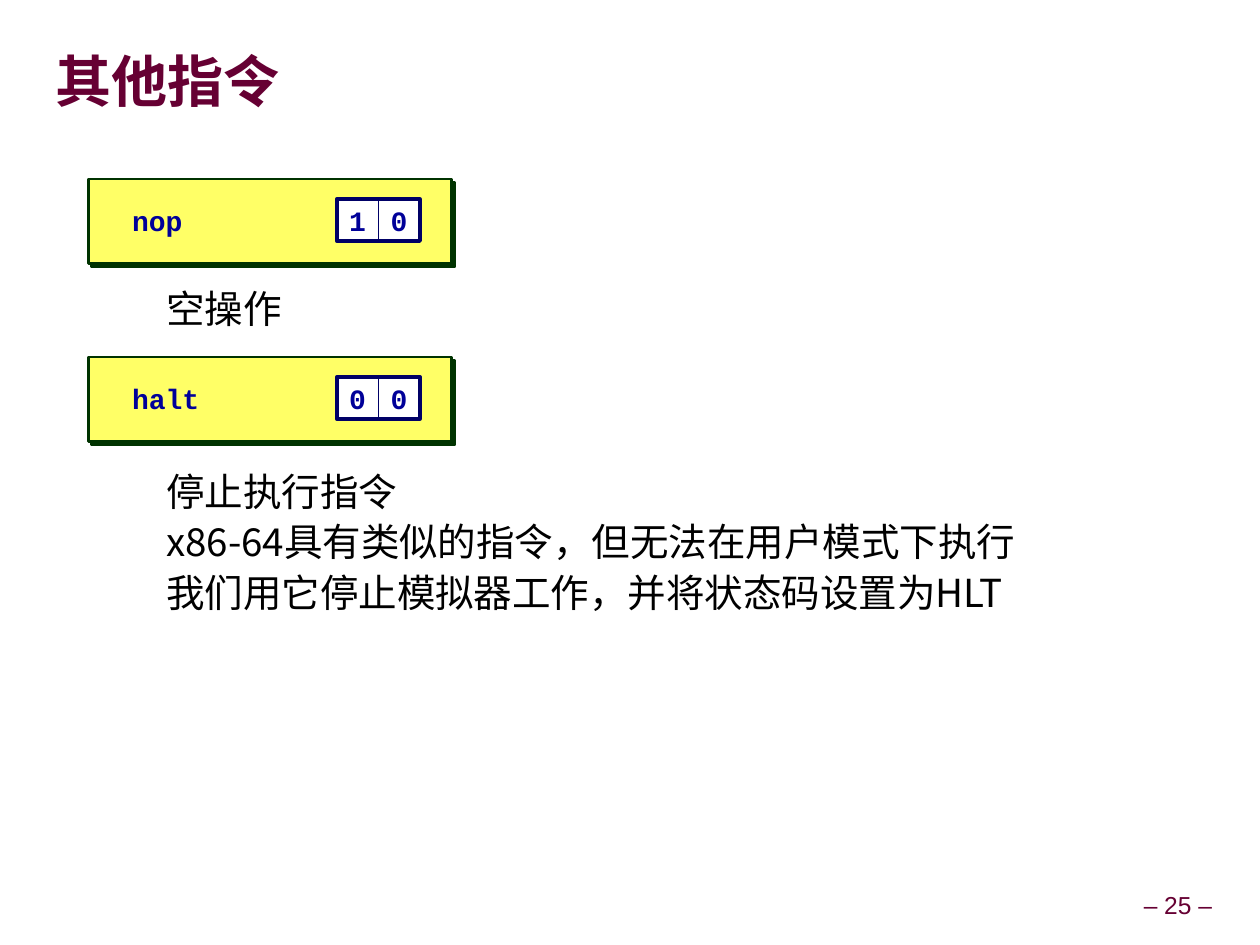
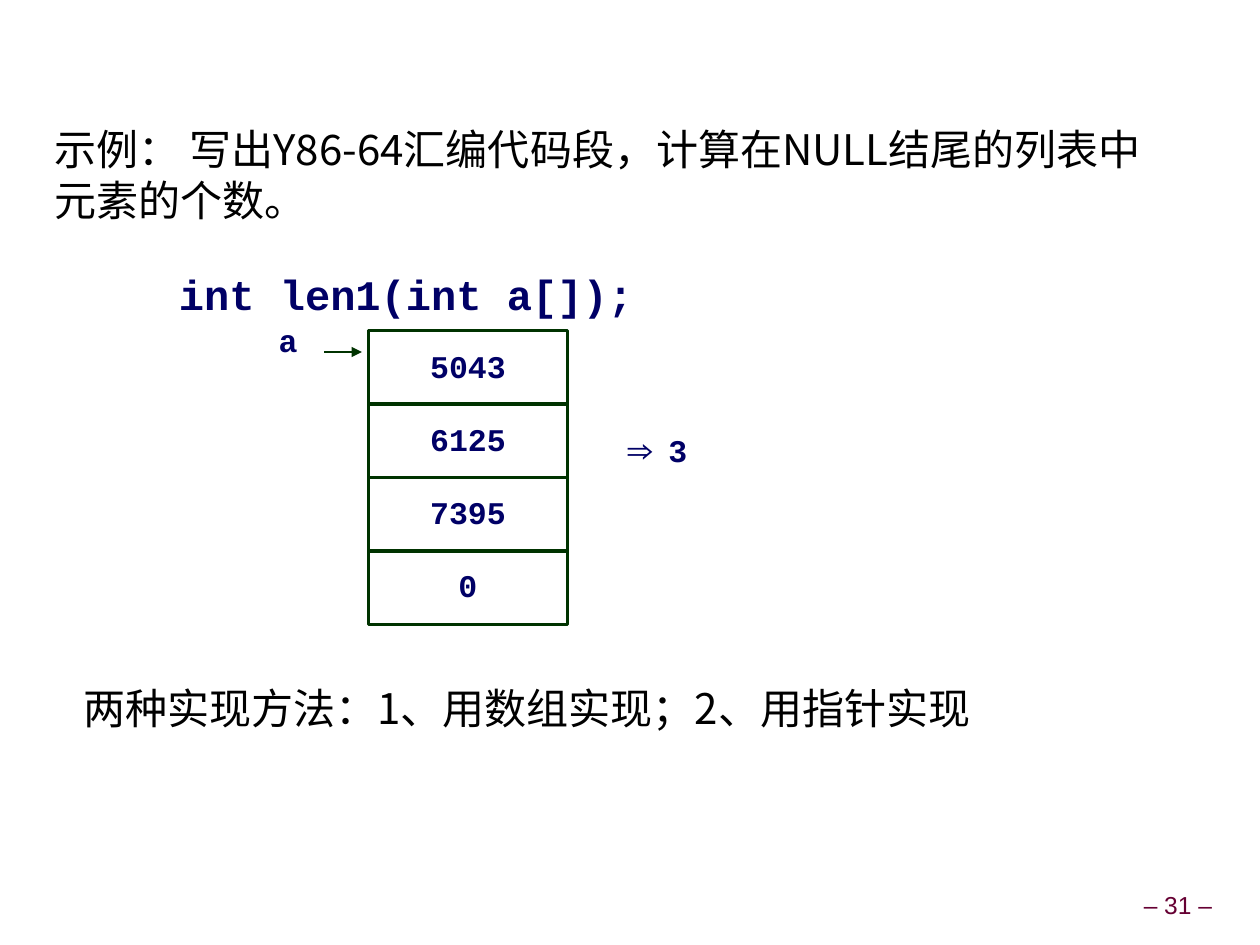
import pptx
import pptx.util
import pptx.dml.color
import pptx.enum.shapes
import pptx.enum.text
import pptx.oxml
import pptx.oxml.ns
from lxml import etree

Inches = pptx.util.Inches
Pt = pptx.util.Pt
ALIGN = pptx.enum.text.PP_ALIGN
ANCHOR = pptx.enum.text.MSO_ANCHOR
SHAPE = pptx.enum.shapes.MSO_SHAPE
qn = pptx.oxml.ns.qn

MAROON, NAVY, BLUE = "660033", "000066", "000099"
GREEN, YELLOW, WHITE, BLACK = "003300", "FFFF66", "FFFFFF", "000000"
CJK, MONO = "Noto Sans CJK SC", "Courier New"

TITLE = dict(name=CJK, size=32, bold=True, color=MAROON)
FOOTER = dict(name="Arial", size=14, bold=False, color=MAROON)
NOTE = dict(name=CJK, size=22, bold=False, color=BLACK)
BODY = dict(name=CJK, size=24, bold=False, color=BLACK)
CODE = dict(name=MONO, size=24, bold=True, color=NAVY)
ARRAY = dict(name=MONO, size=18, bold=True, color=NAVY)
OPCODE = dict(name=MONO, size=16, bold=True, color=BLUE)


def rgb(value):
    return pptx.dml.color.RGBColor.from_string(value)


def write(shape, lines, style, align=ALIGN.LEFT, anchor=ANCHOR.TOP,
          inset=(0.1, 0.05), wrap=True, spacing=1.0):
    """Fill a shape with one paragraph for each line of text."""
    frame = shape.text_frame
    across, down = (Inches(length) for length in inset)
    layout = dict(word_wrap=wrap, vertical_anchor=anchor, margin_left=across,
                  margin_right=across, margin_top=down, margin_bottom=down)
    for key, value in layout.items():
        setattr(frame, key, value)
    for index, line in enumerate(lines):
        para = frame.add_paragraph() if index else frame.paragraphs[0]
        para.alignment = align
        para.line_spacing = spacing
        span = para.add_run()
        span.text = line
        for key in ("name", "bold"):
            setattr(span.font, key, style[key])
        span.font.size = Pt(style["size"])
        span.font.color.rgb = rgb(style["color"])
        east_asian = etree.SubElement(span.font._element, qn("a:ea"))
        east_asian.set("typeface", style["name"])


def add_text(page, box, lines, style, **layout):
    shape = page.shapes.add_textbox(*map(Inches, box))
    write(shape, lines, style, **layout)


def add_box(page, box, line, width, fill=None):
    shape = page.shapes.add_shape(SHAPE.RECTANGLE, *map(Inches, box))
    shape.shadow.inherit = False
    if fill:
        shape.fill.solid()
        shape.fill.fore_color.rgb = rgb(fill)
    else:
        shape.fill.background()
    shape.line.color.rgb = rgb(line)
    shape.line.width = Pt(width)
    return shape


def add_hard_shadow(shape, color):
    effects = shape._element.spPr.find(qn("a:effectLst"))
    shadow = etree.SubElement(effects, qn("a:outerShdw"), blurRad="0",
                              dist=str(Pt(2.8)), dir="2700000",
                              algn="ctr", rotWithShape="0")
    etree.SubElement(shadow, qn("a:srgbClr"), val=color)


def add_arrow(page, start, end):
    arrow = page.shapes.add_connector(
        pptx.enum.shapes.MSO_CONNECTOR.STRAIGHT, *map(Inches, start + end))
    arrow.line.color.rgb = rgb(GREEN)
    arrow.line.width = Pt(1.5)
    etree.SubElement(arrow.line._get_or_add_ln(), qn("a:tailEnd"), type="triangle")
    etree.SubElement(arrow._element.spPr, qn("a:effectLst"))


def add_page(deck, number, title=None):
    """Add a blank slide with its page number and, if given, a title."""
    page = deck.slides.add_slide(deck.slide_layouts[6])
    add_text(page, (9.01, 7.03, 0.66, 0.31), [f"– {number} –"], FOOTER,
             align=ALIGN.CENTER, anchor=ANCHOR.MIDDLE, inset=(0.05, 0.05),
             wrap=False, spacing=0.9)
    if title:
        add_text(page, (0.44, 0.27, 9.3, 0.81), [title], TITLE,
                 anchor=ANCHOR.MIDDLE, inset=(0, 0), spacing=0.87)
    return page


def add_instruction(page, left, top, name, digits):
    """Draw a shadowed panel with an instruction and its encoding."""
    cell = 0.33
    panel = add_box(page, (left, top, 2.88, 0.67), GREEN, 1.5, YELLOW)
    add_hard_shadow(panel, GREEN)
    row = top + 0.16
    add_text(page, (left + 0.25, row, 1.6, cell), [name], OPCODE,
             anchor=ANCHOR.MIDDLE)
    first = left + 1.97
    for index, digit in enumerate(digits):
        box = add_box(page, (first + index * cell, row, cell, cell), NAVY, 0.5, WHITE)
        write(box, [digit], OPCODE, align=ALIGN.CENTER, anchor=ANCHOR.MIDDLE, wrap=False)
    add_box(page, (first, row, cell * len(digits), cell), NAVY, 2.25)


def add_array(page, left, top, values, result):
    """Draw a pointer, a column of values and the result beside it."""
    label = dict(inset=(0.05, 0.05), wrap=False, spacing=0.9)
    for index, value in enumerate(values):
        box = add_box(page, (left, top + index * 0.58, 1.58, 0.59), GREEN, 1.5)
        write(box, [value], ARRAY, align=ALIGN.CENTER, anchor=ANCHOR.MIDDLE, **label)
    add_arrow(page, (left - 0.35, top + 0.17), (left - 0.05, top + 0.17))
    add_text(page, (left - 0.76, top - 0.09, 0.31, 0.56), ["a"], ARRAY, **label)
    add_text(page, (left + 2.03, top + 0.78, 0.79, 0.56), [result], ARRAY, **label)


def build_instructions(deck):
    page = add_page(deck, 25, "其他指令")
    add_text(page, (1.22, 2.17, 7.87, 0.6), ["空操作"], NOTE, spacing=1.1)
    add_text(page, (1.22, 3.62, 7.87, 1.6),
             ["停止执行指令",
              "x86-64具有类似的指令，但无法在用户模式下执行",
              "我们用它停止模拟器工作，并将状态码设置为HLT"], NOTE, spacing=1.1)
    add_instruction(page, 0.7, 1.42, "nop", "10")
    add_instruction(page, 0.7, 2.83, "halt", "00")


def build_list_length(deck):
    page = add_page(deck, 31)
    add_text(page, (0.33, 0.93, 9.02, 1.1),
             ["示例： 写出Y86-64汇编代码段，计算在NULL结尾的列表中元素的个数。"], BODY)
    add_text(page, (1.32, 2.08, 5, 0.5), ["int len1(int a[]);"], CODE)
    add_array(page, 2.92, 2.62, ["5043", "6125", "7395", "0"], "⇒ 3")
    add_text(page, (0.56, 5.36, 8.79, 0.6),
             ["两种实现方法：1、用数组实现；2、用指针实现"], BODY)


def main():
    deck = pptx.Presentation()
    deck.slide_width, deck.slide_height = Inches(9.99), Inches(7.49)
    build_instructions(deck)
    build_list_length(deck)
    deck.save("out.pptx")


if __name__ == "__main__":
    main()
